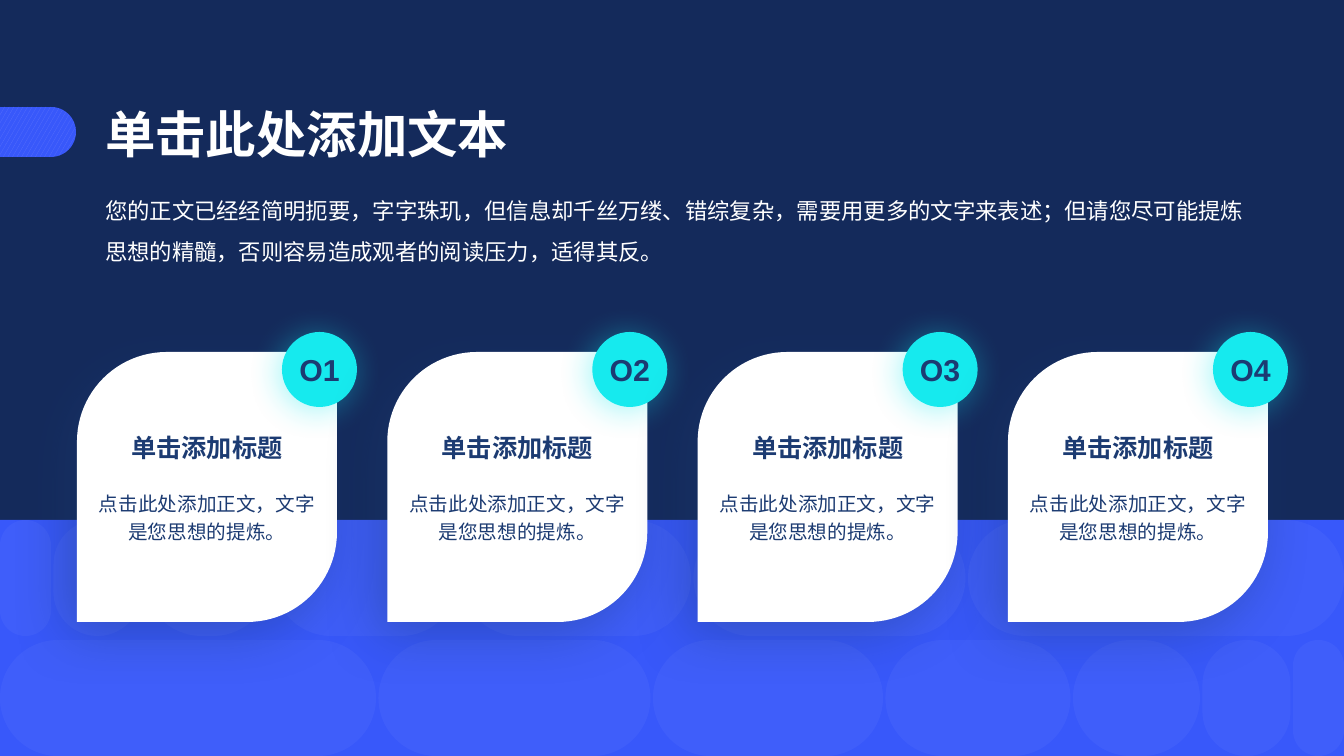
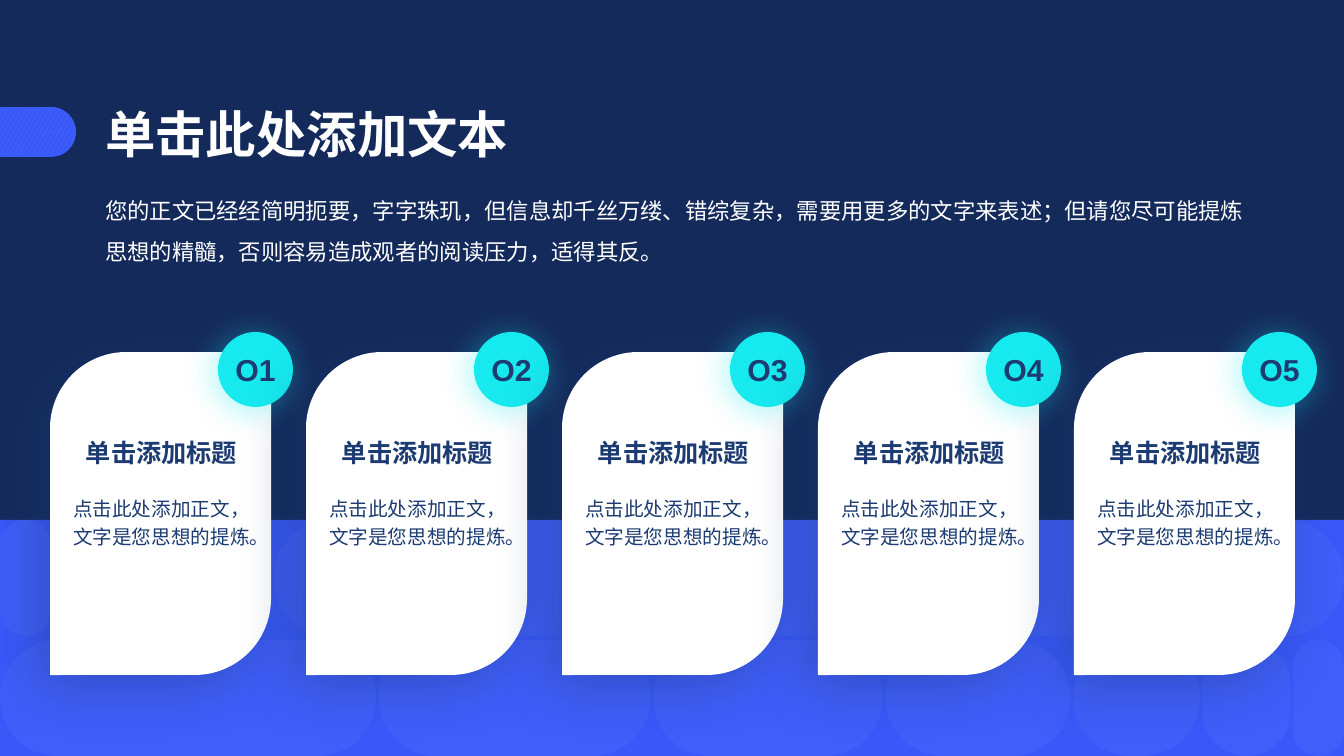
from math import cos, pi, sin

from lxml import etree
from pptx import Presentation
from pptx.dml.color import RGBColor
from pptx.enum.dml import MSO_PATTERN
from pptx.enum.lang import MSO_LANGUAGE_ID
from pptx.enum.shapes import MSO_SHAPE
from pptx.enum.text import MSO_ANCHOR, MSO_AUTO_SIZE, PP_ALIGN
from pptx.oxml.ns import qn
from pptx.util import Pt

RECT, ROUND = MSO_SHAPE.RECTANGLE, MSO_SHAPE.ROUNDED_RECTANGLE
LEAF, OVAL = MSO_SHAPE.ROUND_2_DIAG_RECTANGLE, MSO_SHAPE.OVAL
CONFETTI = MSO_PATTERN.LARGE_CONFETTI
CHINESE = MSO_LANGUAGE_ID.SIMPLIFIED_CHINESE
TOP, MIDDLE = MSO_ANCHOR.TOP, MSO_ANCHOR.MIDDLE
LEFT, CENTER = PP_ALIGN.LEFT, PP_ALIGN.CENTER
NO_FIT = MSO_AUTO_SIZE.NONE

NAVY = RGBColor(0x14, 0x2A, 0x5B)
INK = RGBColor(0x1C, 0x3B, 0x72)
BLUE = RGBColor(0x38, 0x58, 0xFA)
LIGHT_BLUE = RGBColor(0x5C, 0x73, 0xFB)
CYAN = RGBColor(0x16, 0xEA, 0xEE)
WHITE = RGBColor(0xFF, 0xFF, 0xFF)
FONT = "Arial"

# Content
TITLE = "单击此处添加文本"
INTRO = ("您的正文已经经简明扼要，字字珠玑，但信息却千丝万缕、错综复杂，"
         "需要用更多的文字来表述；但请您尽可能提炼思想的精髓，"
         "否则容易造成观者的阅读压力，适得其反。")
CARD = ("单击添加标题", "点击此处添加正文，文字是您思想的提炼。")
SLIDES = [
    {"cards": [CARD] * 4, "first": 77, "last": 1008, "size": (260, 270),
     "badge_dx": 205, "text_dx": 8, "text_w": 244, "heading_y": 427},
    {"cards": [CARD] * 5, "first": 50, "last": 1074, "size": (221, 323),
     "badge_dx": 168, "text_dx": 10, "text_w": 203, "heading_y": 432},
]

# Text styles: font attributes, then paragraph attributes
TITLE_STYLE = ({"size": Pt(36), "bold": True}, {"alignment": LEFT}, WHITE)
INTRO_STYLE = ({"size": Pt(16)}, {"line_spacing": 1.5, "space_before": Pt(0)}, WHITE)
HEADING_STYLE = ({"size": Pt(18), "bold": True}, {"alignment": CENTER}, INK)
DETAIL_STYLE = ({"size": Pt(14)}, {"alignment": CENTER, "line_spacing": 1.2}, INK)
BADGE_STYLE = ({"size": Pt(21.6), "bold": True}, {"alignment": CENTER}, INK)

# Layout in px
SLIDE_W, SLIDE_H = 1344, 756
BAND_TOP = 520
TILE_WIDTHS = [376, 272, 230, 185, 127, 88, 51]
TILE_H = 116
CARD_TOP = 352
BADGE_TOP, BADGE_SIZE = 332, 75
TITLE_BOX = (95, 98, 448, 80)
INTRO_BOX = (95, 179, 1174, 128)
TAB_TOP, TAB_STRAIGHT, TAB_RADIUS = 107, 51, 25


def px(n):
    return round(n * 12192000 / SLIDE_W)


def write(tf, text, style, anchor=TOP):
    font_format, para_format, color = style
    for name, value in {"word_wrap": True, "auto_size": NO_FIT,
                        "vertical_anchor": anchor}.items():
        setattr(tf, name, value)
    p = tf.paragraphs[0]
    for name, value in para_format.items():
        setattr(p, name, value)
    r = p.add_run()
    r.text = text
    for name, value in {"name": FONT, "language_id": CHINESE, **font_format}.items():
        setattr(r.font, name, value)
    r.font.color.rgb = color
    etree.SubElement(r.font._element, qn("a:ea"), typeface=FONT)
    return p


def add_text(s, box, text, style):
    write(s.shapes.add_textbox(*map(px, box)).text_frame, text, style)


def add_shape(s, kind, box, color, adjust=(), alpha=None):
    sp = s.shapes.add_shape(kind, *map(px, box))
    sp.shadow.inherit = False
    sp.line.fill.background()
    sp.fill.solid()
    sp.fill.fore_color.rgb = color
    for i, value in enumerate(adjust):
        sp.adjustments[i] = value
    if alpha:
        clr = sp._element.spPr.find(qn("a:solidFill"))[0]
        etree.SubElement(clr, qn("a:alpha"), val=str(alpha * 1000))
    return sp


def add_shadow(sp, color, blur, dist):
    effects = sp._element.spPr.find(qn("a:effectLst"))
    shadow = etree.SubElement(effects, qn("a:outerShdw"), blurRad=str(Pt(blur)),
                              dist=str(Pt(dist)), dir="8100000", algn="tr",
                              rotWithShape="0")
    clr = etree.SubElement(shadow, qn("a:srgbClr"), val=str(color))
    etree.SubElement(clr, qn("a:alpha"), val="40000")


def add_backdrop(s):
    # Band with two rows of faint pills, the upper row mirrored
    add_shape(s, RECT, (0, BAND_TOP, SLIDE_W, SLIDE_H - BAND_TOP), BLUE)
    gap = (SLIDE_W - sum(TILE_WIDTHS)) / (len(TILE_WIDTHS) - 1)
    x = 0
    for w in TILE_WIDTHS:
        for left, top in ((x, SLIDE_H - TILE_H), (SLIDE_W - x - w, BAND_TOP)):
            add_shape(s, ROUND, (left, top, w, TILE_H), WHITE, [0.5], alpha=4)
        x += w + gap

    # Tab beside the title, rounded at its right end
    steps = 32
    arc = [(px(TAB_STRAIGHT + TAB_RADIUS * sin(pi * i / steps)),
            px(TAB_TOP + TAB_RADIUS * (1 - cos(pi * i / steps))))
           for i in range(steps + 1)]
    builder = s.shapes.build_freeform(0, px(TAB_TOP))
    builder.add_line_segments(arc + [(0, px(TAB_TOP + 2 * TAB_RADIUS))])
    tab = builder.convert_to_shape()
    tab.shadow.inherit = False
    tab.line.fill.background()
    tab.fill.patterned()
    tab.fill.pattern = CONFETTI
    tab.fill.fore_color.rgb = LIGHT_BLUE
    tab.fill.back_color.rgb = BLUE


def add_card(s, x, number, card, spec_):
    heading, detail = card
    leaf = add_shape(s, LEAF, (x, CARD_TOP, *spec_["size"]), WHITE, [0.345, 0])
    add_shadow(leaf, INK, 41, 11)
    text_x, w, y = x + spec_["text_dx"], spec_["text_w"], spec_["heading_y"]
    add_text(s, (text_x, y, w, 45), heading, HEADING_STYLE)
    add_text(s, (text_x, y + 55, w, 140), detail, DETAIL_STYLE)

    badge = add_shape(s, OVAL, (x + spec_["badge_dx"], BADGE_TOP, BADGE_SIZE, BADGE_SIZE), CYAN)
    add_shadow(badge, CYAN, 24, 3)
    tf = badge.text_frame
    for side in ("left", "right", "top", "bottom"):
        setattr(tf, "margin_" + side, 0)
    write(tf, f"O{number}", BADGE_STYLE, MIDDLE)


def main():
    prs = Presentation()
    prs.slide_width, prs.slide_height = px(SLIDE_W), px(SLIDE_H)

    # Shared background and placeholder positions
    background = prs.slide_master.background.fill
    background.solid()
    background.fore_color.rgb = NAVY
    layout = prs.slide_layouts[1]
    for holder, box in zip(layout.placeholders, (TITLE_BOX, INTRO_BOX)):
        holder.left, holder.top, holder.width, holder.height = map(px, box)

    for content in SLIDES:
        s = prs.slides.add_slide(layout)
        write(s.shapes.title.text_frame, TITLE, TITLE_STYLE)
        p = write(s.placeholders[1].text_frame, INTRO, INTRO_STYLE)
        pPr = p._p.get_or_add_pPr()
        pPr.set("marL", "0")
        pPr.set("indent", "0")
        etree.SubElement(pPr, qn("a:buNone"))

        add_backdrop(s)
        cards = content["cards"]
        pitch = (content["last"] - content["first"]) / (len(cards) - 1)
        for i, card in enumerate(cards):
            add_card(s, content["first"] + i * pitch, i + 1, card, content)

    prs.save("out.pptx")


if __name__ == "__main__":
    main()
